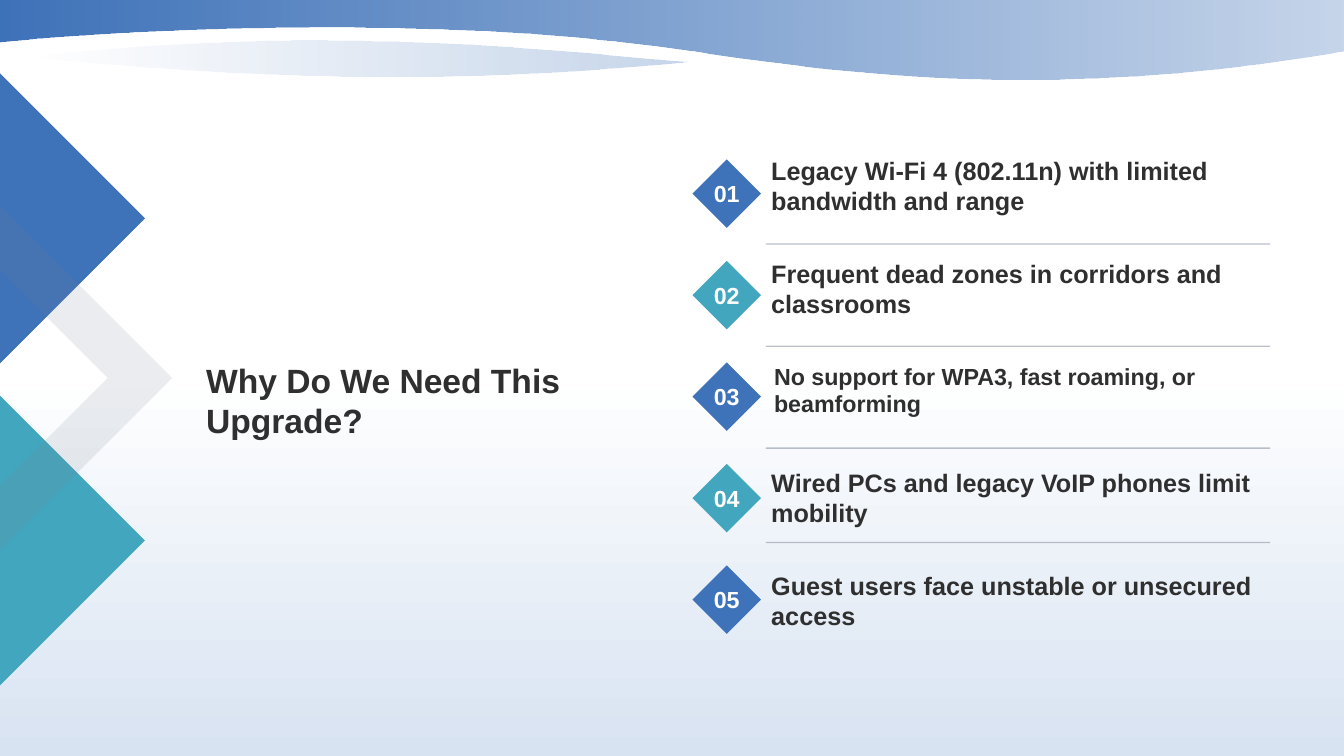
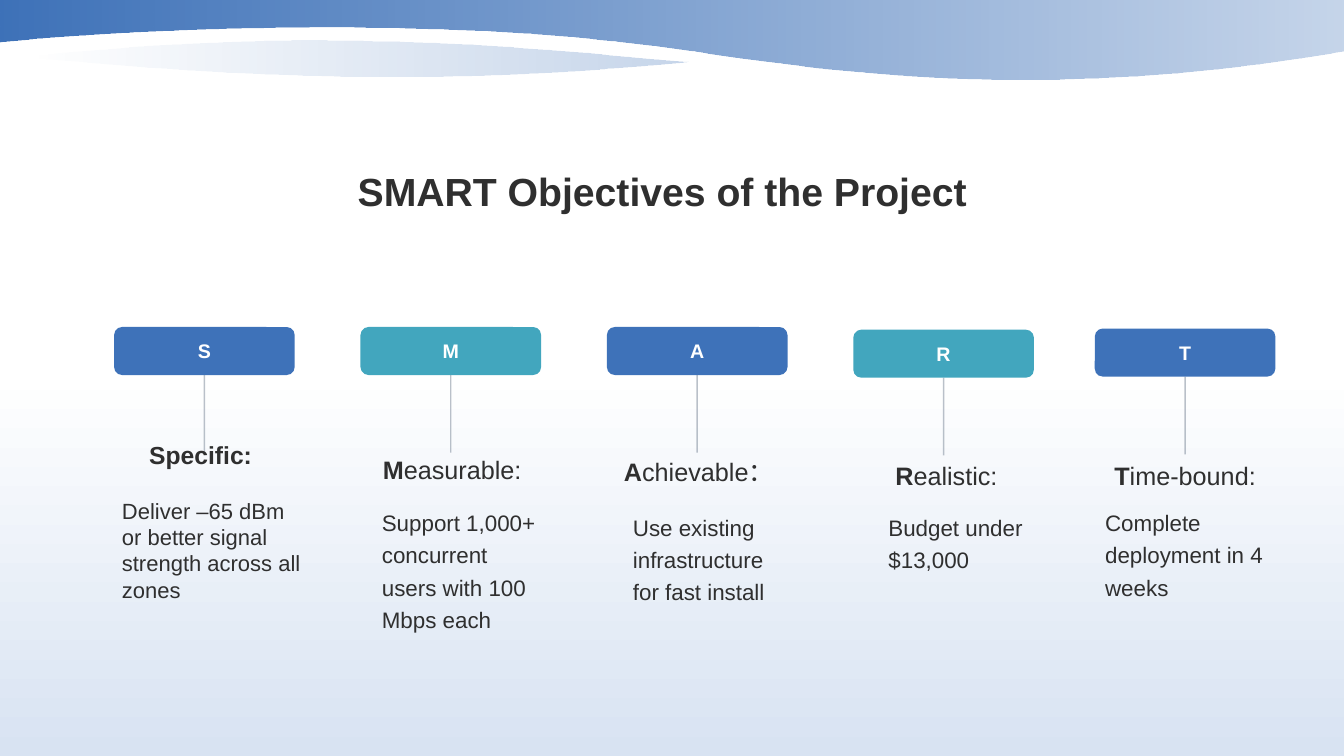
from dataclasses import dataclass
from typing import NamedTuple

from lxml.etree import SubElement
from pptx import Presentation
from pptx.dml.color import RGBColor
from pptx.enum.shapes import MSO_CONNECTOR, MSO_SHAPE
from pptx.enum.text import MSO_ANCHOR, MSO_AUTO_SIZE, PP_ALIGN
from pptx.oxml.ns import qn
from pptx.util import Pt


@dataclass(frozen=True)
class Theme:
    font: str = "Arial"
    blue: RGBColor = RGBColor(0x3E, 0x72, 0xB9)
    teal: RGBColor = RGBColor(0x42, 0xA6, 0xBE)
    slate: RGBColor = RGBColor(0x77, 0x84, 0x95)
    ink: RGBColor = RGBColor(0x2F, 0x2F, 0x2F)
    white: RGBColor = RGBColor(0xFF, 0xFF, 0xFF)
    mist: RGBColor = RGBColor(0xD8, 0xE3, 0xF2)
    side_title: float = 24
    top_title: float = 28
    heading: float = 18
    heading_small: float = 17.6
    number: float = 16.6
    body: float = 16
    body_small: float = 15.7
    letter: float = 14

    def accent(self, index):
        return (self.blue, self.teal)[index % 2]


THEME = Theme()


class Box(NamedTuple):
    left: float
    top: float
    width: float
    height: float

    def lengths(self):
        return [Pt(value) for value in self]


class Reason(NamedTuple):
    text: str
    text_bottom: float
    rule_drop: float = 0
    indent: float = 49.2
    size: float = THEME.heading


class Objective(NamedTuple):
    """Offsets are measured from the top left corner of the letter tile."""
    letter: str
    heading: str
    body: str
    tile: tuple
    heading_offset: tuple
    body_offset: tuple = ()


REASONS = [
    Reason("Legacy Wi-Fi 4 (802.11n) with limited bandwidth and range", 44, 60.5),
    Reason("Frequent dead zones in corridors and classrooms", 45, 61),
    Reason("No support for WPA3, fast roaming, or beamforming", 43, 61.3,
           51.2, THEME.number),
    Reason("Wired PCs and legacy VoIP phones limit mobility", 49, 56.2),
    Reason("Guest users face unstable or unsecured access", 50),
]

OBJECTIVES = [
    Objective("S", "Specific:",
              "Deliver –65 dBm or better signal strength across all zones",
              (81.5, 233.6), (-1.5, 86)),
    Objective("M", "Measurable:",
              "Support 1,000+ concurrent users with 100 Mbps each",
              (257.5, 233.6), (1, 88), (8.2, 122.8)),
    Objective("A", "Achievable：",
              "Use existing infrastructure for fast install",
              (433.5, 233.6), (1.2, 89.5), (11.5, 126.3)),
    Objective("R", "Realistic:", "Budget under $13,000",
              (609.5, 235.5), (2, 90.7), (18, 124.3)),
    Objective("T", "Time-bound:", "Complete deployment in 4 weeks",
              (782, 234.7), (0, 91.5), (0.3, 121.7)),
]


def set_alpha(shape, *percents):
    """Give each colour of the shape, in order, its opacity."""
    for color, percent in zip(shape.element.iter(qn("a:srgbClr")), percents):
        SubElement(color, qn("a:alpha")).set("val", str(percent * 1000))


def set_gradient(fill, angle, *stops):
    fill.gradient()
    fill.gradient_angle = angle
    for stop, (position, color) in zip(fill.gradient_stops, stops):
        stop.position = position
        stop.color.rgb = color


def add_run(paragraph, text, size, color=THEME.ink, bold=False):
    run = paragraph.add_run()
    run.text = text
    run.font.name = THEME.font
    run.font.size = Pt(size)
    run.font.bold = bold
    run.font.color.rgb = color


def add_frame(slide, box, anchor=MSO_ANCHOR.TOP):
    frame = slide.shapes.add_textbox(*box.lengths()).text_frame
    frame.word_wrap = True
    frame.vertical_anchor = anchor
    return frame


def set_title(slide, box, text, size, anchor, align):
    title = slide.shapes.title
    title.left, title.top, title.width, title.height = box.lengths()
    frame = title.text_frame
    frame.auto_size = MSO_AUTO_SIZE.NONE
    frame.word_wrap = True
    frame.vertical_anchor = anchor
    frame.paragraphs[0].alignment = align
    add_run(frame.paragraphs[0], text, size, bold=True)


def add_badge(slide, preset, box, color, text, size):
    shape = slide.shapes.add_shape(preset, *box.lengths())
    shape.shadow.inherit = False
    shape.fill.solid()
    shape.fill.fore_color.rgb = color
    shape.line.fill.background()
    frame = shape.text_frame
    frame.word_wrap = False
    frame.vertical_anchor = MSO_ANCHOR.MIDDLE
    frame.paragraphs[0].alignment = PP_ALIGN.CENTER
    add_run(frame.paragraphs[0], text, size, THEME.white, bold=True)


def add_rule(slide, *ends):
    rule = slide.shapes.add_connector(MSO_CONNECTOR.STRAIGHT,
                                      *[Pt(value) for value in ends])
    rule.line.color.rgb = THEME.slate
    rule.line.width = Pt(1)
    set_alpha(rule, 50)
    SubElement(rule.element.spPr, qn("a:effectLst"))


def add_outline(slide, points):
    """Add a closed freeform without line or shadow, ready to be filled."""
    corners = [(Pt(x), Pt(y)) for x, y in points]
    builder = slide.shapes.build_freeform(*corners[0])
    builder.add_line_segments(corners[1:], close=True)
    shape = builder.convert_to_shape()
    shape.shadow.inherit = False
    shape.line.fill.background()
    return shape


def add_curved_outline(slide, box, start, segments):
    """Segments hold one point for a line, three for a Bézier curve."""
    left, top, width, height = box
    right, bottom = left + width, top + height
    shape = add_outline(slide, [(left, top), (right, top),
                                (right, bottom), (left, bottom)])
    outline = next(shape.element.iter(qn("a:path")))
    for command in list(outline):
        outline.remove(command)
    commands = [("a:moveTo", [start])]
    commands += [("a:cubicBezTo" if len(points) == 3 else "a:lnTo", points)
                 for points in segments]
    for tag, points in commands:
        command = SubElement(outline, qn(tag))
        for x, y in points:
            point = SubElement(command, qn("a:pt"))
            point.set("x", str(Pt(x - left)))
            point.set("y", str(Pt(y - top)))
    SubElement(outline, qn("a:close"))
    return shape


def decorate_master(presentation, slide):
    """Set the shared background and move the drawn waves to the master."""
    master = presentation.slide_master
    set_gradient(master.background.fill, 90, (0, THEME.mist), (0.51, THEME.white))
    band = add_curved_outline(slide, Box(0, 0, 960, 57), (0, 0), [
        [(0, 30.3)],
        [(159, 16), (350, 14.5), (496, 36.8)],
        [(664.5, 62.6), (792.7, 64.8), (960, 36.8)],
        [(960, 0)]])
    ribbon = add_curved_outline(slide, Box(18.7, 29, 473.3, 26), (449.3, 40.5), [
        [(463, 41.8), (477.4, 42.8), (492, 44)],
        [(332, 59), (208, 57.6), (46, 43.3)],
        [(37.5, 42.5), (28, 41.8), (18.7, 41.2)],
        [(18.7, 40.5)],
        [(174, 24.5), (293, 26), (449.3, 40.5)]])
    for index, (wave, alphas) in enumerate([(band, (100, 30)),
                                            (ribbon, (0, 30))]):
        set_gradient(wave.fill, 0, (0, THEME.blue), (1, THEME.blue))
        set_alpha(wave, *alphas)
        wave.element.nvSpPr.cNvPr.set("id", str(100 + index))
        master.shapes.element.insert(2 + index, wave.element)


def add_side_arrows(slide, box):
    """Place two half diamonds and a pale chevron along the left edge."""
    left, top, width, height = box
    half = 103.5
    for color, start in ((THEME.teal, top + height - 2 * half), (THEME.blue, top)):
        triangle = add_outline(slide, [(left, start), (left + half, start + half),
                                       (left, start + 2 * half)])
        triangle.fill.solid()
        triangle.fill.fore_color.rgb = color
    middle, arm = top + 217.5, 46
    chevron = add_outline(slide, [
        (left + width, middle), (left, middle + width),
        (left, middle + width - arm), (left + width - arm, middle),
        (left, middle - width + arm), (left, middle - width)])
    chevron.fill.solid()
    chevron.fill.fore_color.rgb = THEME.slate
    set_alpha(chevron, 15)


def add_reasons(slide, box):
    pitch, diamond, text_height = 72.5, 49, 51
    for index, reason in enumerate(REASONS):
        top = box.top + index * pitch
        add_badge(slide, MSO_SHAPE.DIAMOND, Box(box.left, top, diamond, diamond),
                  THEME.accent(index), f"{index + 1:02}", THEME.number)
        frame = add_frame(slide, Box(box.left + reason.indent,
                                     top + reason.text_bottom - text_height,
                                     box.width - diamond, text_height),
                          MSO_ANCHOR.BOTTOM)
        add_run(frame.paragraphs[0], reason.text, reason.size, bold=True)
        if reason.rule_drop:
            y = top + reason.rule_drop
            add_rule(slide, box.left + 52.5, y, box.left + box.width, y)


def add_joint_text(slide, box, objective):
    """Put heading and body in one box, the heading indented."""
    frame = add_frame(slide, box, MSO_ANCHOR.BOTTOM)
    heading, body = frame.paragraphs[0], frame.add_paragraph()
    heading.alignment = PP_ALIGN.LEFT
    heading.space_after = Pt(20)
    next(slide.shapes[-1].element.iter(qn("a:pPr"))).set("marL", str(Pt(19.5)))
    add_run(heading, objective.heading, THEME.heading_small, bold=True)
    add_run(body, objective.body, THEME.body_small)


def add_split_text(slide, heading_box, body_box, objective):
    """Put heading and body in a box each, the initial in bold."""
    heading = add_frame(slide, heading_box, MSO_ANCHOR.BOTTOM).paragraphs[0]
    heading.alignment = PP_ALIGN.CENTER
    add_run(heading, objective.heading[0], THEME.heading, bold=True)
    add_run(heading, objective.heading[1:], THEME.heading)
    body = add_frame(slide, body_box).paragraphs[0]
    body.line_spacing = 1.2
    add_run(body, objective.body, THEME.body)


def add_objective(slide, box, objective, color):
    left, top, width, height = box
    center = left + width / 2
    add_rule(slide, center, top + height, center, top + height + 55.5)
    add_badge(slide, MSO_SHAPE.ROUNDED_RECTANGLE, box, color,
              objective.letter, THEME.letter)
    across, down = objective.heading_offset
    if not objective.body_offset:
        add_joint_text(slide, Box(left + across, top + down, 148, 114.5), objective)
        return
    heading_box = Box(left + across, top + down, width, 28)
    across, down = objective.body_offset
    body_box = Box(left + across, top + down, width, 86)
    add_split_text(slide, heading_box, body_box, objective)


def build_reasons_slide(slide):
    add_side_arrows(slide, Box(0, 52.5, 123, 437))
    set_title(slide, Box(140, 212, 299, 148), "Why Do We Need This Upgrade?",
              THEME.side_title, MSO_ANCHOR.MIDDLE, PP_ALIGN.LEFT)
    add_reasons(slide, Box(494.6, 113.8, 412.6, 339))


def build_objectives_slide(slide):
    set_title(slide, Box(45.5, 116, 855, 65), "SMART Objectives of the Project",
              THEME.top_title, MSO_ANCHOR.TOP, PP_ALIGN.CENTER)
    for index, objective in enumerate(OBJECTIVES):
        add_objective(slide, Box(*objective.tile, 129, 34.3), objective,
                      THEME.accent(index))


def main():
    presentation = Presentation()
    presentation.slide_width, presentation.slide_height = Pt(960), Pt(540)
    title_only = presentation.slide_layouts[5]
    reasons = presentation.slides.add_slide(title_only)
    decorate_master(presentation, reasons)
    build_reasons_slide(reasons)
    build_objectives_slide(presentation.slides.add_slide(title_only))
    presentation.save("out.pptx")


if __name__ == "__main__":
    main()
